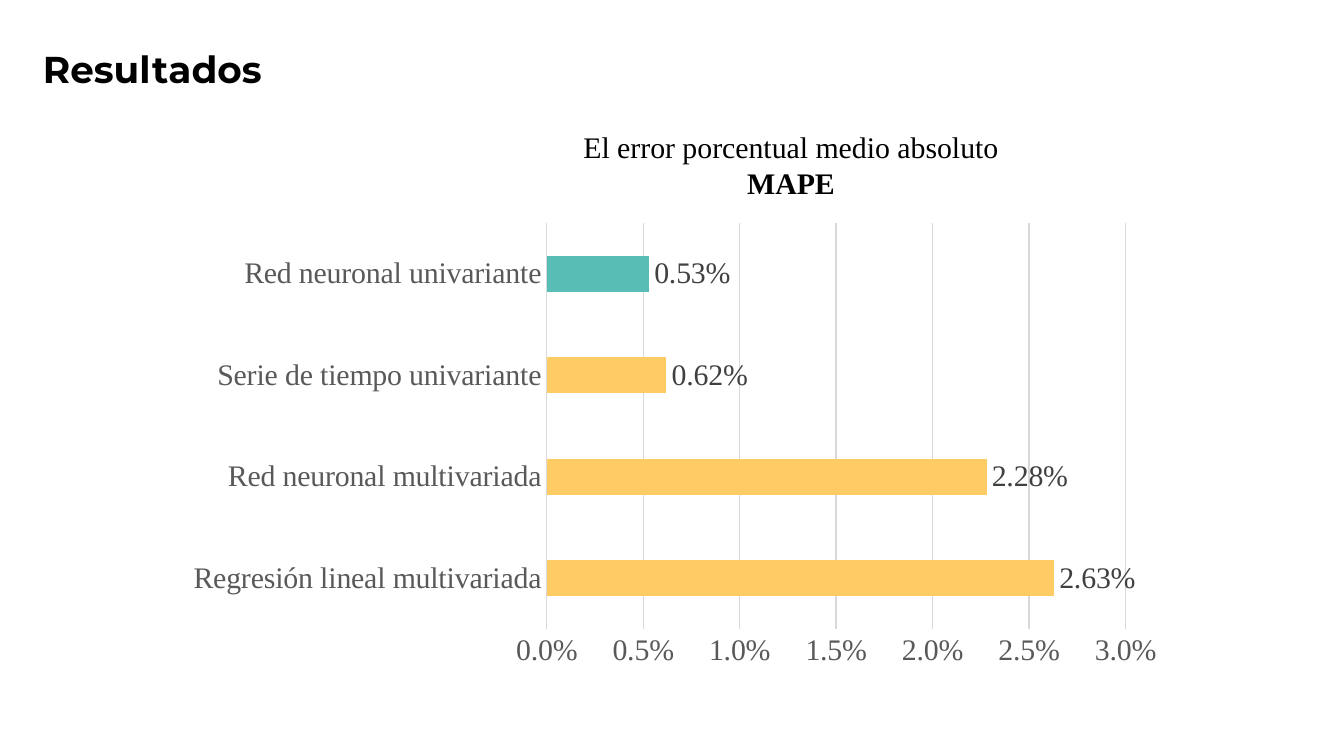
from pptx import Presentation
from pptx.chart.data import CategoryChartData
from pptx.dml.color import RGBColor
from pptx.enum.chart import XL_CHART_TYPE, XL_LABEL_POSITION, XL_TICK_MARK
from pptx.enum.text import MSO_ANCHOR, MSO_AUTO_SIZE, PP_ALIGN
from pptx.util import Cm, Pt

BLACK = RGBColor(0x00, 0x00, 0x00)
LABEL_GRAY = RGBColor(0x40, 0x40, 0x40)
AXIS_GRAY = RGBColor(0x59, 0x59, 0x59)
GRID_GRAY = RGBColor(0xD9, 0xD9, 0xD9)
YELLOW = RGBColor(0xFF, 0xCB, 0x64)
TEAL = RGBColor(0x58, 0xBD, 0xB5)
HEADING_FONT = "Montserrat"
BODY_FONT = "Times New Roman"

HEADING = [("Resultados", True)]
CHART_HEADING = [("El error porcentual medio absoluto ", False), ("MAPE", True)]
SERIES_NAME = "Series 1"
ERRORS = [  # from the bottom bar to the top one
    ("Regresión lineal multivariada", 0.0263),
    ("Red neuronal multivariada", 0.0228),
    ("Serie de tiempo univariante", 0.0062),
    ("Red neuronal univariante", 0.0053),
]


def set_font(font, color, size=16, name=BODY_FONT, bold=False):
    font.name = name
    font.size = Pt(size)
    font.bold = bold
    font.color.rgb = color


def set_line(line):
    line.color.rgb = GRID_GRAY
    line.width = Pt(0.75)


def add_text(slide, runs, left, top, width, height, *, size=16, name=BODY_FONT,
             align=PP_ALIGN.LEFT, anchor=MSO_ANCHOR.TOP, margin_y=0.13,
             auto_size=MSO_AUTO_SIZE.NONE):
    """Add a text box from (text, bold) runs; lengths are in centimetres."""
    box = slide.shapes.add_textbox(Cm(left), Cm(top), Cm(width), Cm(height))
    frame = box.text_frame
    frame.word_wrap = True
    frame.auto_size = auto_size
    frame.vertical_anchor = anchor
    frame.margin_left = frame.margin_right = Cm(0.25)
    frame.margin_top = frame.margin_bottom = Cm(margin_y)
    paragraph = frame.paragraphs[0]
    paragraph.alignment = align
    for text, bold in runs:
        run = paragraph.add_run()
        run.text = text
        set_font(run.font, BLACK, size, name, bold)


def add_error_chart(slide):
    data = CategoryChartData(number_format="0.00%")
    data.categories = [model for model, _ in ERRORS]
    data.add_series(SERIES_NAME, [error for _, error in ERRORS])
    chart = slide.shapes.add_chart(XL_CHART_TYPE.BAR_CLUSTERED, Cm(3.28), Cm(4.04),
                                   Cm(18.95), Cm(8.76), data).chart
    chart.has_legend = False
    chart.has_title = False
    set_font(chart.font, BLACK)

    models, errors = chart.category_axis, chart.value_axis
    for axis in (models, errors):
        axis.major_tick_mark = axis.minor_tick_mark = XL_TICK_MARK.NONE
        set_font(axis.tick_labels.font, AXIS_GRAY)
    models.has_major_gridlines = False
    set_line(models.format.line)
    errors.has_major_gridlines = True
    set_line(errors.major_gridlines.format.line)
    errors.format.line.fill.background()
    errors.tick_labels.number_format = "0.0%"
    errors.tick_labels.number_format_is_linked = False

    plot = chart.plots[0]
    plot.gap_width = 182
    plot.vary_by_categories = False
    bars = plot.series[0]
    bars.invert_if_negative = False
    best = min(range(len(ERRORS)), key=lambda i: ERRORS[i][1])
    for part, color in ((bars, YELLOW), (bars.points[best], TEAL)):
        part.format.fill.solid()
        part.format.fill.fore_color.rgb = color

    labels = bars.data_labels
    labels.show_value = True
    labels.position = XL_LABEL_POSITION.OUTSIDE_END
    labels.number_format = "0.00%"
    labels.number_format_is_linked = False
    set_font(labels.font, LABEL_GRAY)


def main():
    presentation = Presentation()
    presentation.slide_width = Cm(25.4)
    presentation.slide_height = Cm(14.29)
    slide = presentation.slides.add_slide(presentation.slide_layouts[6])
    add_error_chart(slide)
    add_text(slide, HEADING, 0.56, 0.86, 23.34, 0.86, size=20, name=HEADING_FONT,
             anchor=MSO_ANCHOR.MIDDLE, margin_y=0.25)
    add_text(slide, CHART_HEADING, 9.95, 2.31, 10, 0.94, align=PP_ALIGN.CENTER,
             auto_size=MSO_AUTO_SIZE.SHAPE_TO_FIT_TEXT)
    presentation.save("out.pptx")


if __name__ == "__main__":
    main()
